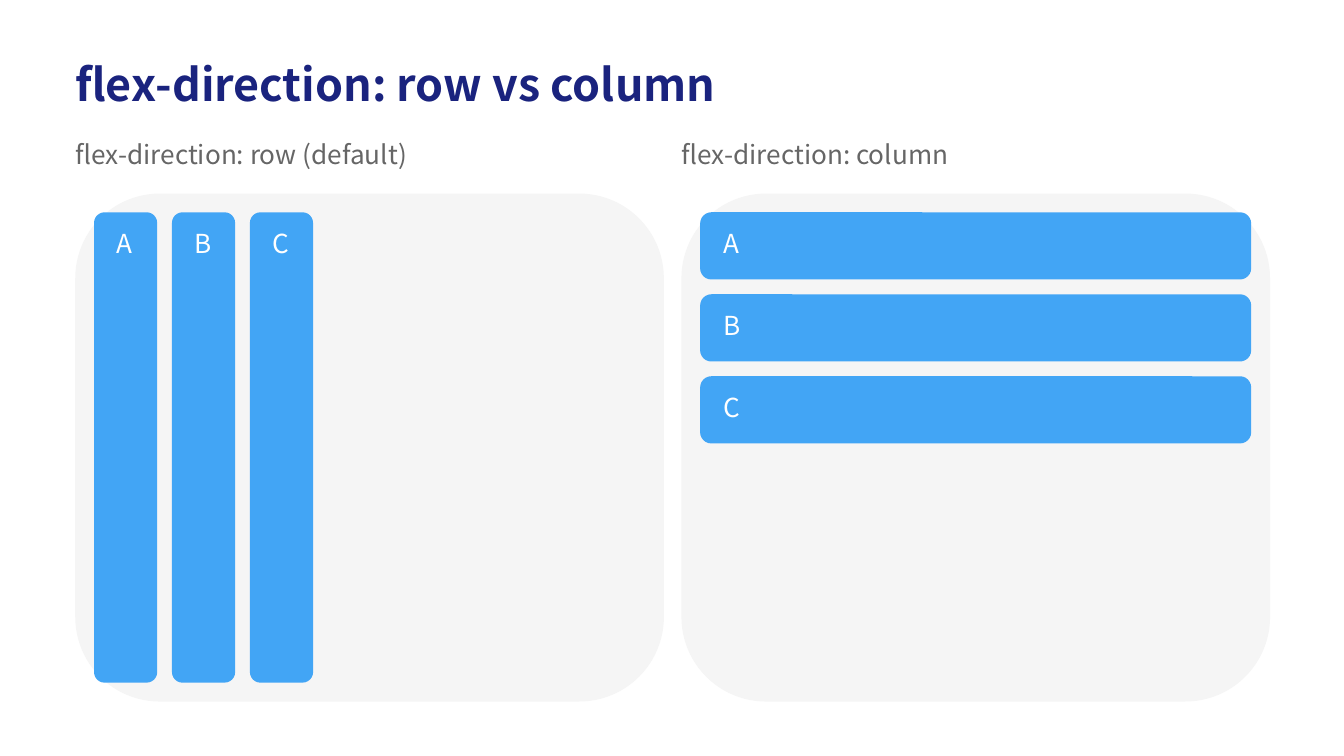
"""Build a slide comparing the row and column values of flex-direction."""
from dataclasses import dataclass

from pptx import Presentation
from pptx.dml.color import RGBColor
from pptx.enum.shapes import MSO_SHAPE as Shape
from pptx.enum.text import MSO_ANCHOR as Anchor, MSO_AUTO_SIZE as AutoSize, PP_ALIGN as Align
from pptx.slide import Slide
from pptx.text.text import TextFrame
from pptx.util import Inches, Pt

FONT = "Noto Sans CJK SC"
COLORS = {
    "title": "1A237E",
    "caption": "666666",
    "panel": "F5F5F5",
    "item": "42A5F5",
    "label": "FFFFFF",
}
PANEL_WIDTH = 4.38
PANEL_TOP = 1.44
PANEL_PADDING = 0.14
ITEM_PADDING_X = 0.17
ITEM_PADDING_Y = 0.11
LABEL_HEIGHT = 0.28


@dataclass(frozen=True)
class FlexPanel:
    caption: str
    left: float
    item_width: float
    item_height: float
    step_x: float = 0
    step_y: float = 0


PANELS = (
    FlexPanel("flex-direction: row (default)", 0.56, 0.47, 3.5, step_x=0.58),
    FlexPanel("flex-direction: column", 5.07, 4.1, 0.5, step_y=0.61),
)


def format_text(frame: TextFrame, text: str, size: float, color: str,
                bold: bool = False, wrap: bool = True) -> None:
    """Fill a frame with one left-aligned line without margins."""
    frame.text = text
    frame.word_wrap = wrap
    frame.auto_size = AutoSize.NONE
    frame.vertical_anchor = Anchor.TOP
    frame.margin_left = frame.margin_right = frame.margin_top = frame.margin_bottom = 0
    para = frame.paragraphs[0]
    para.alignment = Align.LEFT
    font = para.runs[0].font
    font.name, font.size, font.bold = FONT, Pt(size), bold
    font.color.rgb = RGBColor.from_string(COLORS[color])


def add_title(slide: Slide, text: str) -> None:
    """Place and format the title placeholder."""
    title = slide.shapes.title
    title.left, title.top = Inches(0.56), Inches(0.42)
    title.width, title.height = Inches(8.89), Inches(0.47)
    format_text(title.text_frame, text, 24, "title", bold=True)


def add_text(slide: Slide, text: str, left: float, top: float, width: float,
             height: float, color: str, wrap: bool = True) -> None:
    """Add a text box in the body size."""
    box = slide.shapes.add_textbox(Inches(left), Inches(top), Inches(width), Inches(height))
    format_text(box.text_frame, text, 14, color, wrap=wrap)


def add_rounded_box(slide: Slide, left: float, top: float, width: float,
                    height: float, color: str) -> None:
    """Add a filled rounded rectangle without outline or shadow."""
    box = slide.shapes.add_shape(
        Shape.ROUNDED_RECTANGLE, Inches(left), Inches(top), Inches(width), Inches(height))
    box.shadow.inherit = False
    box.fill.solid()
    box.fill.fore_color.rgb = RGBColor.from_string(COLORS[color])
    box.line.fill.background()


def add_panel(slide: Slide, panel: FlexPanel) -> None:
    """Draw a caption, its container and the three flex items."""
    add_text(slide, panel.caption, panel.left, 1.03, PANEL_WIDTH, 0.29, "caption")
    add_rounded_box(slide, panel.left, PANEL_TOP, PANEL_WIDTH, 3.78, "panel")
    for index, label in enumerate("ABC"):
        left = panel.left + PANEL_PADDING + index * panel.step_x
        top = PANEL_TOP + PANEL_PADDING + index * panel.step_y
        add_rounded_box(slide, left, top, panel.item_width, panel.item_height, "item")
        add_text(slide, label, left + ITEM_PADDING_X, top + ITEM_PADDING_Y,
                 panel.item_width - 2 * ITEM_PADDING_X, LABEL_HEIGHT, "label", wrap=False)


def main() -> None:
    """Create and save the deck."""
    deck = Presentation()
    deck.slide_width = Inches(10)
    deck.slide_height = deck.slide_width * 9 // 16
    slide = deck.slides.add_slide(deck.slide_layouts[5])
    add_title(slide, "flex-direction: row vs column")
    for panel in PANELS:
        add_panel(slide, panel)
    deck.save("out.pptx")


if __name__ == "__main__":
    main()
